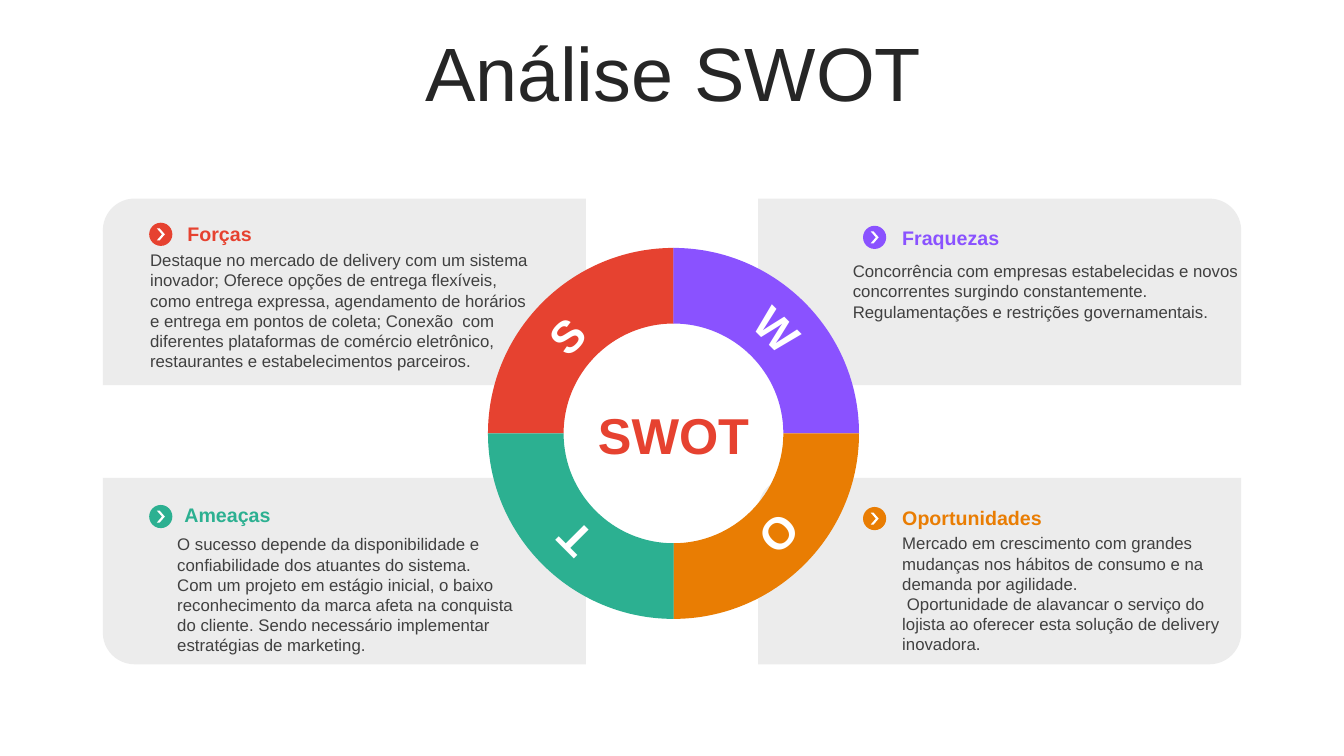
from math import cos, sin, radians

from lxml.etree import SubElement
from pptx import Presentation
from pptx.dml.color import RGBColor
from pptx.enum.shapes import MSO_SHAPE
from pptx.enum.text import MSO_ANCHOR, PP_ALIGN
from pptx.oxml.ns import qn
from pptx.util import Inches, Pt

RED = RGBColor(0xE6, 0x42, 0x30)
PURPLE = RGBColor(0x8A, 0x52, 0xFF)
GREEN = RGBColor(0x2C, 0xB0, 0x91)
ORANGE = RGBColor(0xE9, 0x7D, 0x03)
PANEL_GRAY = RGBColor(0xEC, 0xEC, 0xEC)
BODY_GRAY = RGBColor(0x40, 0x40, 0x40)
TITLE_GRAY = RGBColor(0x26, 0x26, 0x26)
WHITE = RGBColor(0xFF, 0xFF, 0xFF)

# Grid of two columns and two rows around the ring
PANEL_LEFT, PANEL_TOP = (1.02, 7.52), (1.97, 4.74)
PANEL_WIDTH, PANEL_HEIGHT = 4.79, 1.85
BULLET_LEFT, BULLET_SIZE = (1.48, 8.56), 0.23
CHEVRON_WIDTH, CHEVRON_HEIGHT = 0.08, 0.12
CENTER_X, CENTER_Y = 6.68, 4.3
OUTER_RADIUS, INNER_RADIUS = 1.84, 1.09
CURVE = 0.55  # handle length of a quarter circle, as a share of its radius
UNITS = 1000  # outline units per inch

# column, row, letter, letter centre, colour, bullet top,
# heading, heading place, body place and size, body paragraphs
QUADRANTS = [
    (0, 0, "S", (5.62, 3.33), RED, 2.21, "Forças", (1.76, 2.15), (1.39, 2.43, 4.01, 1.31),
     ["Destaque no mercado de delivery com um sistema inovador; Oferece opções de "
      "entrega flexíveis, como entrega expressa, agendamento de horários e entrega em "
      "pontos de coleta; Conexão  com diferentes plataformas de comércio eletrônico, "
      "restaurantes e estabelecimentos parceiros."]),
    (1, 0, "W", (7.7, 3.25), PURPLE, 2.24, "Fraquezas", (8.85, 2.19), (8.36, 2.54, 4.15, 0.71),
     ["Concorrência com empresas estabelecidas e novos concorrentes surgindo "
      "constantemente.",
      "Regulamentações e restrições governamentais."]),
    (1, 1, "O", (7.74, 5.31), ORANGE, 5.03, "Oportunidades", (8.85, 4.97),
     (8.85, 5.24, 3.45, 1.31),
     ["Mercado em crescimento com grandes mudanças nos hábitos de consumo e na demanda "
      "por agilidade.",
      " Oportunidade de alavancar o serviço do lojista ao oferecer esta solução de "
      "delivery inovadora."]),
    (0, 1, "T", (5.69, 5.36), GREEN, 5.01, "Ameaças", (1.73, 4.94), (1.66, 5.25, 3.64, 1.31),
     ["O sucesso depende da disponibilidade e confiabilidade dos atuantes do sistema.",
      "Com um projeto em estágio inicial, o baixo reconhecimento da marca afeta na "
      "conquista do cliente. Sendo necessário implementar estratégias de marketing."]),
]

presentation = Presentation()
presentation.slide_width, presentation.slide_height = Inches(13.33), Inches(7.5)
slide = presentation.slides.add_slide(presentation.slide_layouts[5])


def paint(shape, color):
    shape.shadow.inherit = False
    shape.fill.solid()
    shape.fill.fore_color.rgb = color
    shape.line.fill.background()


def write(shape, paragraphs, size, color, bold=False, align=PP_ALIGN.LEFT,
          anchor=MSO_ANCHOR.MIDDLE):
    text_frame = shape.text_frame
    text_frame.word_wrap = True
    text_frame.vertical_anchor = anchor
    text_frame.text = "\n".join(paragraphs)
    for paragraph in text_frame.paragraphs:
        paragraph.alignment = align
        for run in paragraph.runs:
            run.font.name, run.font.size = "Arial", Pt(size)
            run.font.bold = bold
            run.font.color.rgb = color


# Title
title = slide.shapes.title
title.left, title.top = Inches(0.35), Inches(0.37)
title.width, title.height = Inches(12.66), Inches(0.79)
write(title, ["Análise SWOT"], 54, TITLE_GRAY, align=PP_ALIGN.CENTER)
title.text_frame.paragraphs[0].line_spacing = 0.9

# Gray panels, rounded on the outer corner and behind the ring
for row, top in enumerate(PANEL_TOP):
    for column, left in enumerate(PANEL_LEFT):
        panel = slide.shapes.add_shape(
            MSO_SHAPE.ROUND_2_DIAG_RECTANGLE, Inches(left), Inches(top),
            Inches(PANEL_WIDTH), Inches(PANEL_HEIGHT))
        panel.adjustments[0] = 0.17 if row == column else 0
        panel.adjustments[1] = 0 if row == column else 0.17
        paint(panel, PANEL_GRAY)

for index, (column, row, letter, (letter_x, letter_y), color, bullet_top, heading,
            heading_place, body_place, body) in enumerate(QUADRANTS):
    # Ring quarter, clockwise from the left: outer arc out, inner arc back
    start = 180 + 90 * index
    cosine, sine = round(cos(radians(start))), round(sin(radians(start)))
    arc = [(1, 0), (1, CURVE), (CURVE, 1), (0, 1)]
    points = [((CENTER_X + radius * (along * cosine - across * sine)) * UNITS,
               (CENTER_Y + radius * (along * sine + across * cosine)) * UNITS)
              for radius, handles in ((OUTER_RADIUS, arc), (INNER_RADIUS, arc[::-1]))
              for along, across in handles]
    builder = slide.shapes.build_freeform(*points[0], scale=Inches(1) / UNITS)
    builder.add_line_segments(points[1:], close=True)
    quarter = builder.convert_to_shape()
    paint(quarter, color)

    # Bend each group of three points into one curve
    segments = list(quarter.element.iter(qn("a:lnTo")))
    for group in (segments[0:3], segments[4:7]):
        outline = group[0].getparent()
        curve = SubElement(outline, qn("a:cubicBezTo"))
        group[0].addprevious(curve)
        for segment in group:
            curve.append(segment[0])
            outline.remove(segment)

    # Letter turned to follow the ring
    letter_box = slide.shapes.add_textbox(
        Inches(letter_x - 0.285), Inches(letter_y - 0.32), Inches(0.57), Inches(0.64))
    write(letter_box, [letter], 32, WHITE, True, PP_ALIGN.CENTER)
    letter_box.text_frame.word_wrap = False
    letter_box.rotation = (start + 135) % 360

    # Round bullet with a chevron
    bullet_left = BULLET_LEFT[column]
    bullet = slide.shapes.add_shape(
        MSO_SHAPE.OVAL, Inches(bullet_left), Inches(bullet_top),
        Inches(BULLET_SIZE), Inches(BULLET_SIZE))
    paint(bullet, color)
    chevron = slide.shapes.add_shape(
        MSO_SHAPE.CHEVRON, Inches(bullet_left + (BULLET_SIZE - CHEVRON_WIDTH) / 2),
        Inches(bullet_top + (BULLET_SIZE - CHEVRON_HEIGHT) / 2),
        Inches(CHEVRON_WIDTH), Inches(CHEVRON_HEIGHT))
    chevron.adjustments[0] = 0.65
    paint(chevron, WHITE)

    # Heading and body text
    heading_box = slide.shapes.add_textbox(
        *map(Inches, heading_place), Inches(3.25), Inches(0.34))
    write(heading_box, [heading], 14, color, True)
    body_box = slide.shapes.add_textbox(*map(Inches, body_place))
    write(body_box, body, 12, BODY_GRAY, anchor=MSO_ANCHOR.TOP)

# Ring centre
center_box = slide.shapes.add_textbox(
    Inches(CENTER_X - 1.06), Inches(3.95), Inches(2.12), Inches(0.71))
write(center_box, ["SWOT"], 36, RED, True, PP_ALIGN.CENTER)

presentation.save("out.pptx")
